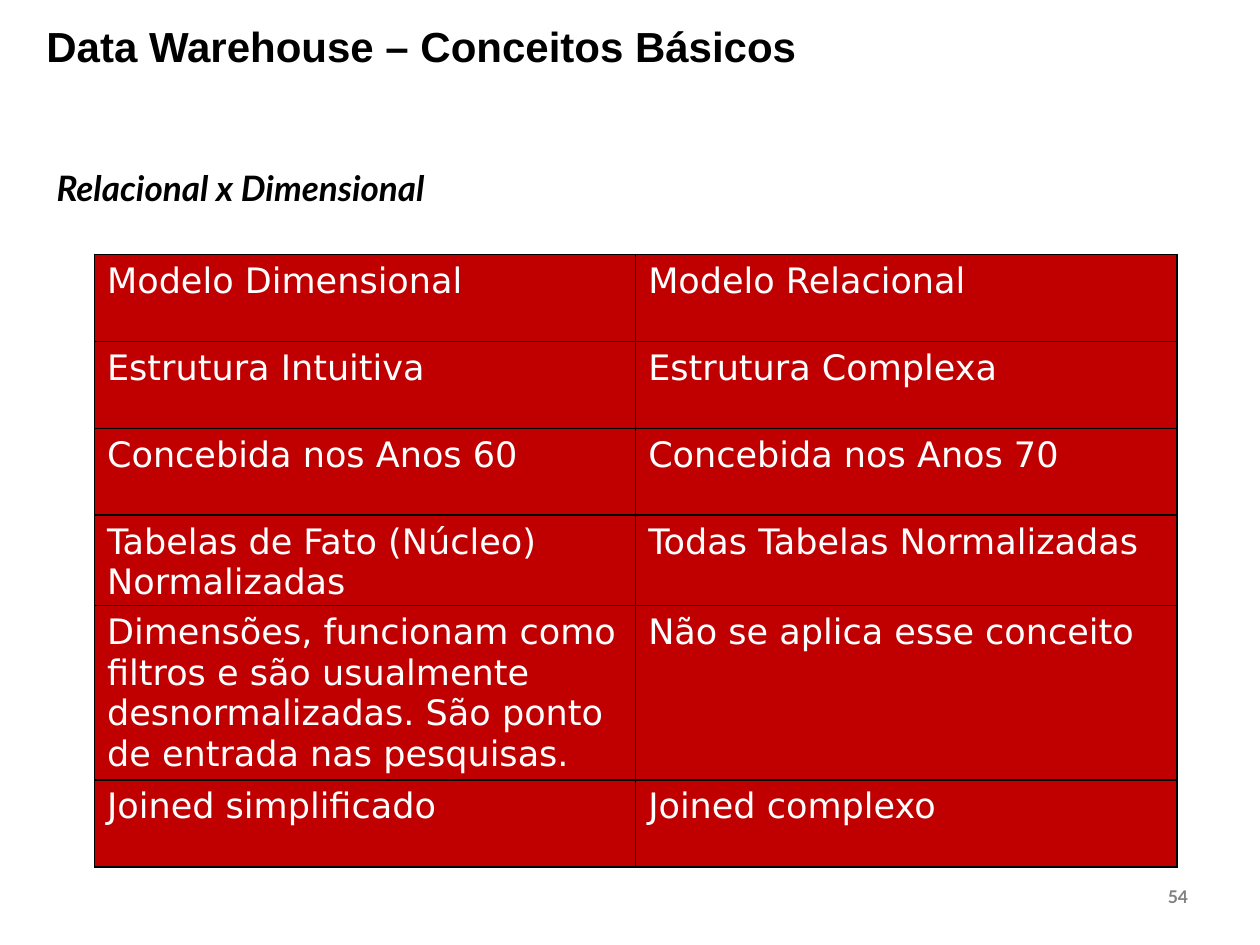
from dataclasses import dataclass

from lxml import etree
from pptx import Presentation
from pptx import util as u
from pptx.dml.color import RGBColor
from pptx.enum import text
from pptx.oxml.ns import qn


@dataclass(frozen=True)
class Theme:
    ink: str = "000000"
    muted: str = "808080"
    fill: str = "C00000"
    on_fill: str = "FFFFFF"
    title_font: str = "Arial"
    body_font: str = "Lato"
    table_font: str = "DejaVu Sans"
    title_size: int = 24
    body_size: int = 20
    number_size: int = 10
    border: int = 1


THEME = Theme()
WIDTH, HEIGHT = u.Inches(10), u.Inches(7.5)

# Boxes are left, top, width and height in percent of the slide.
TITLE_BOX = (2.7, 2.13, 80, 6.13)
SUBTITLE_BOX = (3.5, 17.47, 44.1, 85.07)
TABLE_BOX = (7.5, 26.93, 85.9, 55.2)
NUMBER_BOX = (91.7, 93.07, 4.3, 3.47)

COMPARISON = [
    ("Modelo Dimensional", "Modelo Relacional"),
    ("Estrutura Intuitiva", "Estrutura Complexa"),
    ("Concebida nos Anos 60", "Concebida nos Anos 70"),
    ("Tabelas de Fato (Núcleo) Normalizadas", "Todas Tabelas Normalizadas"),
    ("Dimensões, funcionam como filtros e são usualmente desnormalizadas. "
     "São ponto de entrada nas pesquisas.", "Não se aplica esse conceito"),
    ("Joined simplificado", "Joined complexo"),
]


def to_lengths(box):
    return [int(share * side / 100)
            for share, side in zip(box, (WIDTH, HEIGHT) * 2)]


def style(p, font, size, color, bold=False, italic=False):
    p.font.name, p.font.size = font, u.Pt(size)
    p.font.bold, p.font.italic = bold, italic
    p.font.color.rgb = RGBColor.from_string(color)


def add_text(s, box, words, wrap=True):
    tf = s.shapes.add_textbox(*to_lengths(box)).text_frame
    tf.word_wrap = wrap
    tf.text = words
    return tf, tf.paragraphs[0]


def add_title(s, box, words):
    tf, p = add_text(s, box, words)
    tf.vertical_anchor = text.MSO_ANCHOR.MIDDLE
    p.line_spacing = 0.9
    style(p, THEME.title_font, THEME.title_size, THEME.ink, bold=True)


def add_subtitle(s, box, words):
    p = add_text(s, box, words)[1]
    p.line_spacing = 0.9
    style(p, THEME.body_font, THEME.body_size, THEME.ink, bold=True, italic=True)


def add_slide_number(s, box, number):
    p = add_text(s, box, number, wrap=False)[1]
    style(p, THEME.body_font, THEME.number_size, THEME.muted, bold=True)


def set_borders(cell):
    """Outline a cell; lines must precede the fill in its properties."""
    tc_pr = cell._tc.get_or_add_tcPr()
    for i, side in enumerate(("a:lnL", "a:lnR", "a:lnT", "a:lnB")):
        ln = etree.Element(qn(side), w=str(u.Pt(THEME.border)))
        solid = etree.SubElement(ln, qn("a:solidFill"))
        etree.SubElement(solid, qn("a:srgbClr"), val=THEME.ink)
        tc_pr.insert(i, ln)


def add_comparison(s, box, rows):
    left, top, width, height = to_lengths(box)
    table = s.shapes.add_table(len(rows), len(rows[0]),
                               left, top, width, height).table
    for r, row in enumerate(rows):
        for c, words in enumerate(row):
            cell = table.cell(r, c)
            cell.text = words
            cell.margin_bottom = 0
            cell.fill.solid()
            cell.fill.fore_color.rgb = RGBColor.from_string(THEME.fill)
            set_borders(cell)
            style(cell.text_frame.paragraphs[0], THEME.table_font,
                  THEME.body_size, THEME.on_fill)


def main():
    prs = Presentation()
    prs.slide_width, prs.slide_height = WIDTH, HEIGHT
    s = prs.slides.add_slide(prs.slide_layouts[6])
    add_slide_number(s, NUMBER_BOX, "54")
    add_subtitle(s, SUBTITLE_BOX, "Relacional x Dimensional")
    add_comparison(s, TABLE_BOX, COMPARISON)
    add_title(s, TITLE_BOX, "Data Warehouse – Conceitos Básicos")
    prs.save("out.pptx")


if __name__ == "__main__":
    main()
